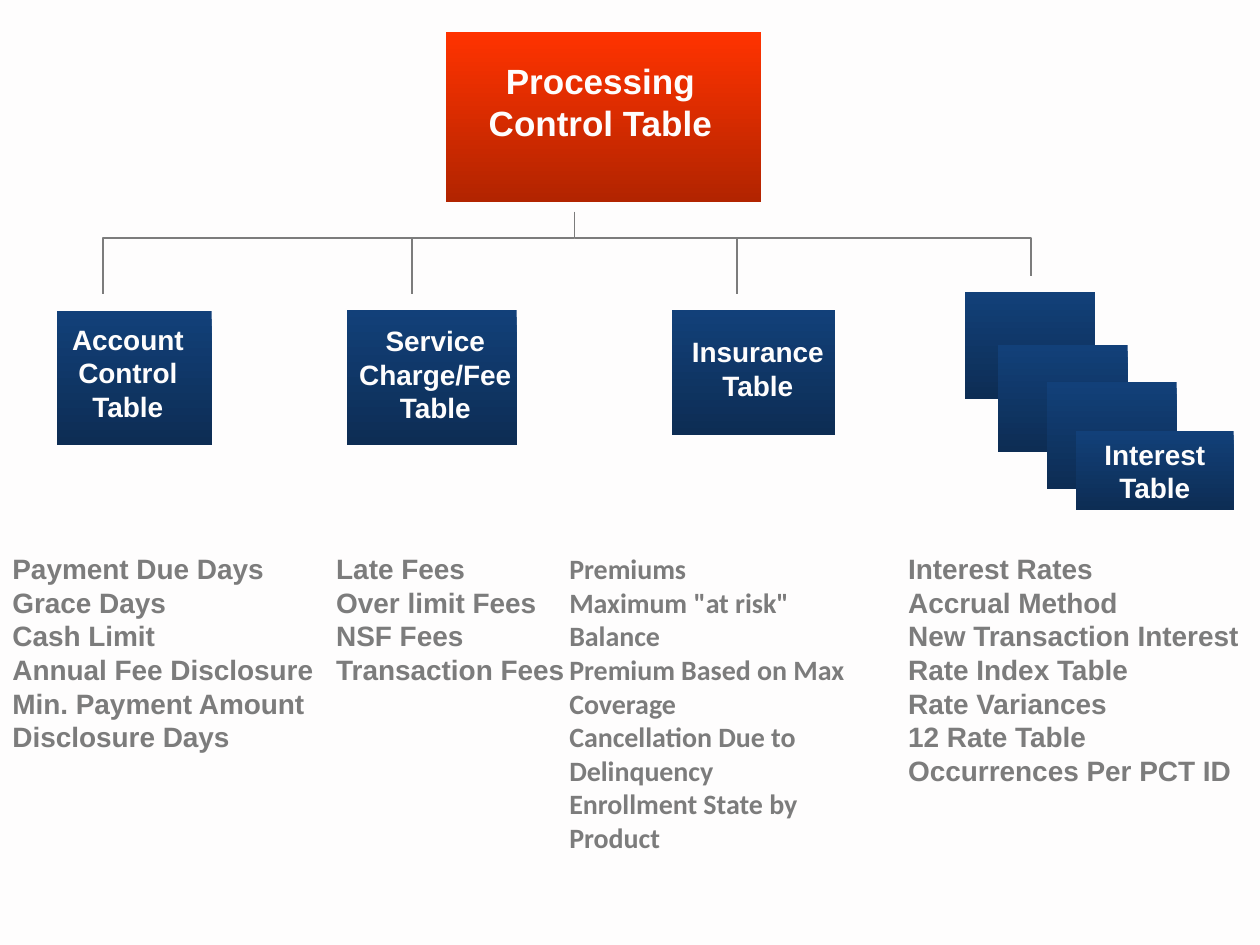
from dataclasses import dataclass, field

from lxml.etree import SubElement
from pptx import Presentation
from pptx.dml.color import RGBColor
from pptx.enum.shapes import MSO_CONNECTOR, MSO_SHAPE
from pptx.enum.text import MSO_ANCHOR, PP_ALIGN
from pptx.oxml.ns import qn
from pptx.slide import Slide
from pptx.util import Inches, Pt

COLORS = {
    "background": "FEFDFD",
    "gray": "7C7C7C",
    "white": "FEFDFD",
    "blue": ("124079", "0D2D54"),
    "red": ("FF3300", "B22400"),
}

COLUMNS = [
    (0, 2.75, 1.7, "Arial", ["Payment Due Days", "Grace Days", "Cash Limit",
                             "Annual Fee Disclosure", "Min. Payment Amount", "Disclosure Days"]),
    (2.57, 2.02, 1.43, "Arial", ["Late Fees", "Over limit Fees", "NSF Fees", "Transaction Fees"]),
    (4.42, 2.8, 2.77, "Calibri", ["Premiums", 'Maximum "at risk"', "Balance",
                                  "Premium Based on Max", "Coverage", "Cancellation Due to",
                                  "Delinquency", "Enrollment State by", "Product"]),
    (7.11, 2.97, 1.97, "Arial", ["Interest Rates", "Accrual Method", "New Transaction Interest",
                                 "Rate Index Table", "Rate Variances",
                                 "12 Rate Table Occurrences Per PCT ID"]),
]

TABLE_BOXES = [
    (7.66, 2.32, 1.03, 0.85),
    (7.92, 2.74, 1.03, 0.85),
    (8.31, 3.03, 1.03, 0.85),
    (0.45, 2.47, 1.23, 1.06),
    (2.75, 2.46, 1.35, 1.07),
    (5.33, 2.46, 1.3, 0.99),
]

TABLE_LABELS = [
    (0.42, 2.51, 1.19, 0.9, ["Account", "Control Table"]),
    (2.74, 2.52, 1.43, 0.9, ["Service", "Charge/Fee", "Table"]),
    (5.35, 2.61, 1.33, 0.63, ["Insurance", "Table"]),
]

TRUNK_X, TRUNK_TOP, BUS_Y, BRANCH_BOTTOM = 4.56, 1.68, 1.89, 2.33


def write_text(frame, lines, font="Arial", size=16, color="white", align=PP_ALIGN.CENTER):
    """Fill a text frame with one bold paragraph per line."""
    frame.word_wrap = True
    frame.vertical_anchor = MSO_ANCHOR.TOP
    for index, line in enumerate(lines):
        paragraph = frame.paragraphs[0] if index == 0 else frame.add_paragraph()
        paragraph.alignment = align
        run = paragraph.add_run()
        run.text = line
        run.font.name = font
        run.font.size = Pt(size)
        run.font.bold = True
        run.font.color.rgb = RGBColor.from_string(COLORS[color])


@dataclass
class Diagram:
    """Hold the current slide and draw its elements in one style."""

    slide: Slide
    line_color: str = "gray"
    line_width: float = 1
    text_style: dict = field(default_factory=dict)

    def box(self, left, top, width, height, color="blue"):
        """Add a rectangle with a vertical gradient."""
        shape = self.slide.shapes.add_shape(
            MSO_SHAPE.RECTANGLE, Inches(left), Inches(top), Inches(width), Inches(height))
        shape.shadow.inherit = False
        shape.line.fill.background()
        shape.fill.gradient()
        shape.fill.gradient_angle = 270
        for stop, position, shade in zip(shape.fill.gradient_stops, (0, 1), COLORS[color]):
            stop.position = position
            stop.color.rgb = RGBColor.from_string(shade)
        return shape

    def label(self, left, top, width, height, lines, **style):
        """Add a text box."""
        shape = self.slide.shapes.add_textbox(
            Inches(left), Inches(top), Inches(width), Inches(height))
        write_text(shape.text_frame, lines, **{**self.text_style, **style})

    def style_line(self, line):
        """Apply the line colour and width."""
        line.color.rgb = RGBColor.from_string(COLORS[self.line_color])
        line.width = Pt(self.line_width)

    def line(self, start, end):
        """Add a straight connector."""
        connector = self.slide.shapes.add_connector(
            MSO_CONNECTOR.STRAIGHT, *map(Inches, (*start, *end)))
        self.style_line(connector.line)
        SubElement(connector._element.spPr, qn("a:effectLst"))

    def bent_line(self, start, *points):
        """Add an open outline through the points."""
        builder = self.slide.shapes.build_freeform(*map(Inches, start))
        builder.add_line_segments([tuple(map(Inches, point)) for point in points], close=False)
        shape = builder.convert_to_shape()
        shape.shadow.inherit = False
        shape.fill.background()
        self.style_line(shape.line)


def main():
    """Build the slide and save it."""
    presentation = Presentation()
    presentation.slide_width, presentation.slide_height = Inches(10), Inches(7.5)
    slide = presentation.slides.add_slide(presentation.slide_layouts[6])
    slide.background.fill.solid()
    slide.background.fill.fore_color.rgb = RGBColor.from_string(COLORS["background"])
    diagram = Diagram(slide)

    for left, width, height, font, lines in COLUMNS:
        diagram.label(left, 4.33, width, height, lines,
                      font=font, color="gray", align=PP_ALIGN.LEFT)

    diagram.bent_line((TRUNK_X, TRUNK_TOP), (TRUNK_X, BUS_Y), (0.82, BUS_Y), (0.82, BRANCH_BOTTOM))
    diagram.bent_line((TRUNK_X, BUS_Y), (8.18, BUS_Y), (8.18, 2.19))
    for x in (3.27, 5.85):
        diagram.line((x, BUS_Y), (x, BRANCH_BOTTOM))

    for place in TABLE_BOXES:
        diagram.box(*place)
    for label in TABLE_LABELS:
        diagram.label(*label)
    interest_box = diagram.box(8.54, 3.42, 1.25, 0.63)
    write_text(interest_box.text_frame, ["Interest", "Table"])

    diagram.box(3.54, 0.25, 2.5, 1.35, color="red")
    diagram.label(3.32, 0.42, 2.89, 0.77, ["Processing", "Control Table"], size=20)

    presentation.save("out.pptx")


if __name__ == "__main__":
    main()
